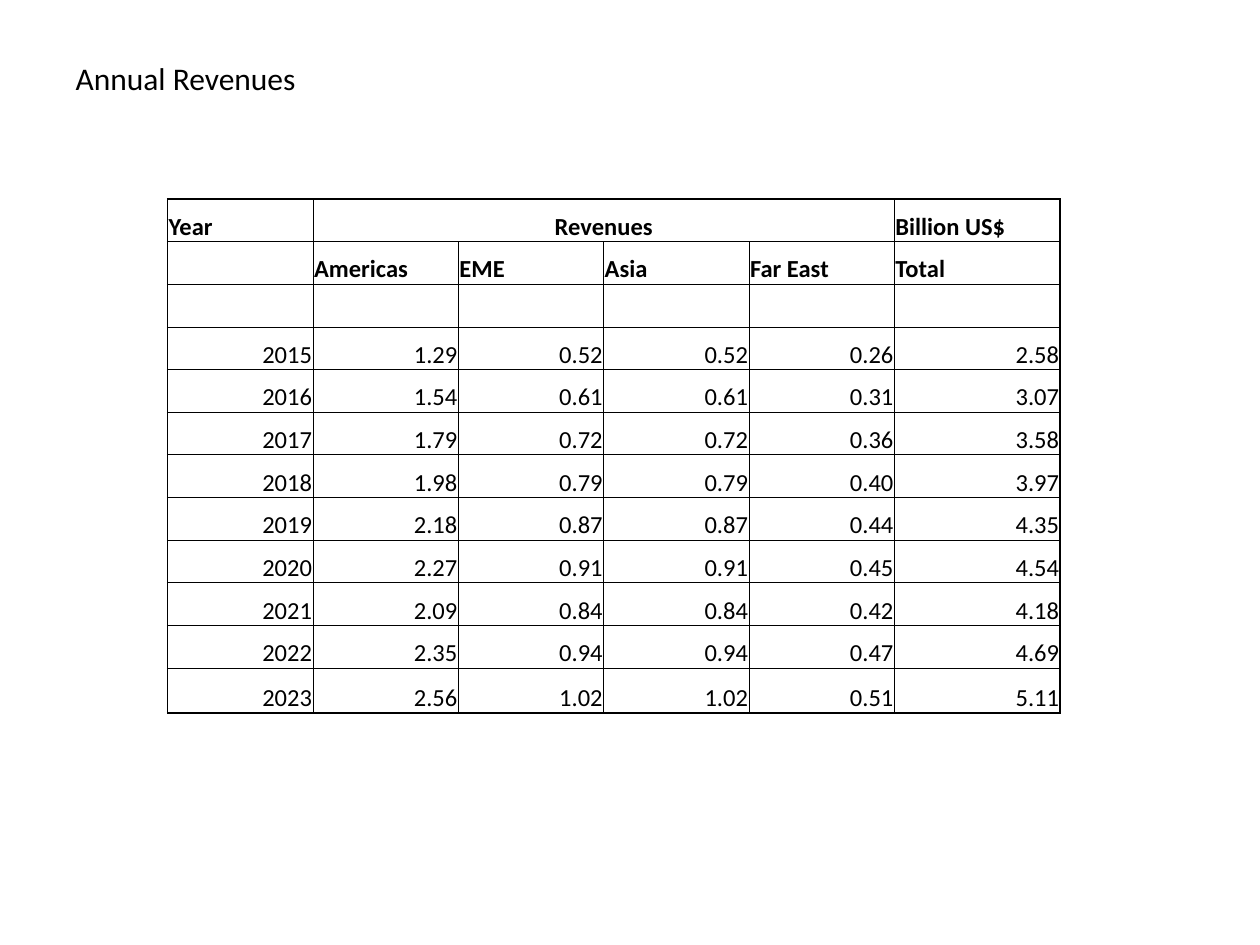
import pptx
import pptx.util
import pptx.dml.color
import pptx.enum.text
import pptx.oxml
import pptx.oxml.ns

Cm, Pt = pptx.util.Cm, pptx.util.Pt
Align = pptx.enum.text.PP_ALIGN
Anchor = pptx.enum.text.MSO_ANCHOR

theme = {"font": "Calibri", "ink": "000000", "title": 18, "cell": 14,
         "thin": 0.5, "thick": 1}

heads = [
    ["Year", "Revenues", "", "", "", "Billion US$"],
    ["", "Americas", "EME", "Asia", "Far East", "Total"],
    [""] * 6,
]
sales = [
    ["2015", "1.29", "0.52", "0.52", "0.26", "2.58"],
    ["2016", "1.54", "0.61", "0.61", "0.31", "3.07"],
    ["2017", "1.79", "0.72", "0.72", "0.36", "3.58"],
    ["2018", "1.98", "0.79", "0.79", "0.40", "3.97"],
    ["2019", "2.18", "0.87", "0.87", "0.44", "4.35"],
    ["2020", "2.27", "0.91", "0.91", "0.45", "4.54"],
    ["2021", "2.09", "0.84", "0.84", "0.42", "4.18"],
    ["2022", "2.35", "0.94", "0.94", "0.47", "4.69"],
    ["2023", "2.56", "1.02", "1.02", "0.51", "5.11"],
]
rows = heads + sales
wides = [2.93] * 5 + [3.34]
highs = [0.86] * 11 + [0.9]


def write(para, text, size, bold, align):
    para.alignment = align
    if text:
        run = para.add_run()
        run.text = text
        run.font.color.rgb = pptx.dml.color.RGBColor.from_string(theme["ink"])
        looks = {"name": theme["font"], "size": Pt(size), "bold": bold}
        for name, value in looks.items():
            setattr(run.font, name, value)


def edge(cell, side, width):
    """Draw one cell border; side is L, R, T or B."""
    space = pptx.oxml.ns.nsdecls("a")
    line = pptx.oxml.parse_xml(
        f'<a:ln{side} {space} w="{Pt(width)}"><a:solidFill>'
        f'<a:srgbClr val="{theme["ink"]}"/></a:solidFill></a:ln{side}>')
    cell._tc.get_or_add_tcPr().append(line)


deck = pptx.Presentation()
deck.slide_width, deck.slide_height = Cm(25.4), Cm(19.05)
slide = deck.slides.add_slide(deck.slide_layouts[5])

# Title
title = slide.shapes.title
place = {"left": 1.27, "top": 1.07, "width": 5, "height": 1.02}
for name, value in place.items():
    setattr(title, name, Cm(value))
frame = title.text_frame
form = {"word_wrap": False, "vertical_anchor": Anchor.TOP,
        "auto_size": pptx.enum.text.MSO_AUTO_SIZE.SHAPE_TO_FIT_TEXT}
for name, value in form.items():
    setattr(frame, name, value)
write(frame.paragraphs[0], "Annual Revenues", theme["title"], False, Align.LEFT)

# Revenue table
table = slide.shapes.add_table(len(rows), len(wides), Cm(3.38), Cm(4.01),
                               Cm(sum(wides)), Cm(sum(highs))).table
table.first_row = table.horz_banding = False
for col, wide in zip(table.columns, wides):
    col.width = Cm(wide)
for row, high in zip(table.rows, highs):
    row.height = Cm(high)
table.cell(0, 1).merge(table.cell(0, 4))

inset = {"margin_left": Cm(0.02), "margin_right": Cm(0.02),
         "margin_top": Cm(0.02), "margin_bottom": 0,
         "vertical_anchor": Anchor.BOTTOM}
for r, row in enumerate(rows):
    for c, text in enumerate(row):
        cell = table.cell(r, c)
        for name, value in inset.items():
            setattr(cell, name, value)
        outer = {"L": c == 0, "R": c == len(wides) - 1,
                 "T": r == 0, "B": r == len(rows) - 1}
        for side, rim in outer.items():
            edge(cell, side, theme["thick" if rim else "thin"])
        cell.fill.background()
        head = r < len(heads)
        align = Align.LEFT if head else Align.RIGHT
        if text == "Revenues":
            align = Align.CENTER
        write(cell.text_frame.paragraphs[0], text, theme["cell"], head, align)

deck.save("out.pptx")
